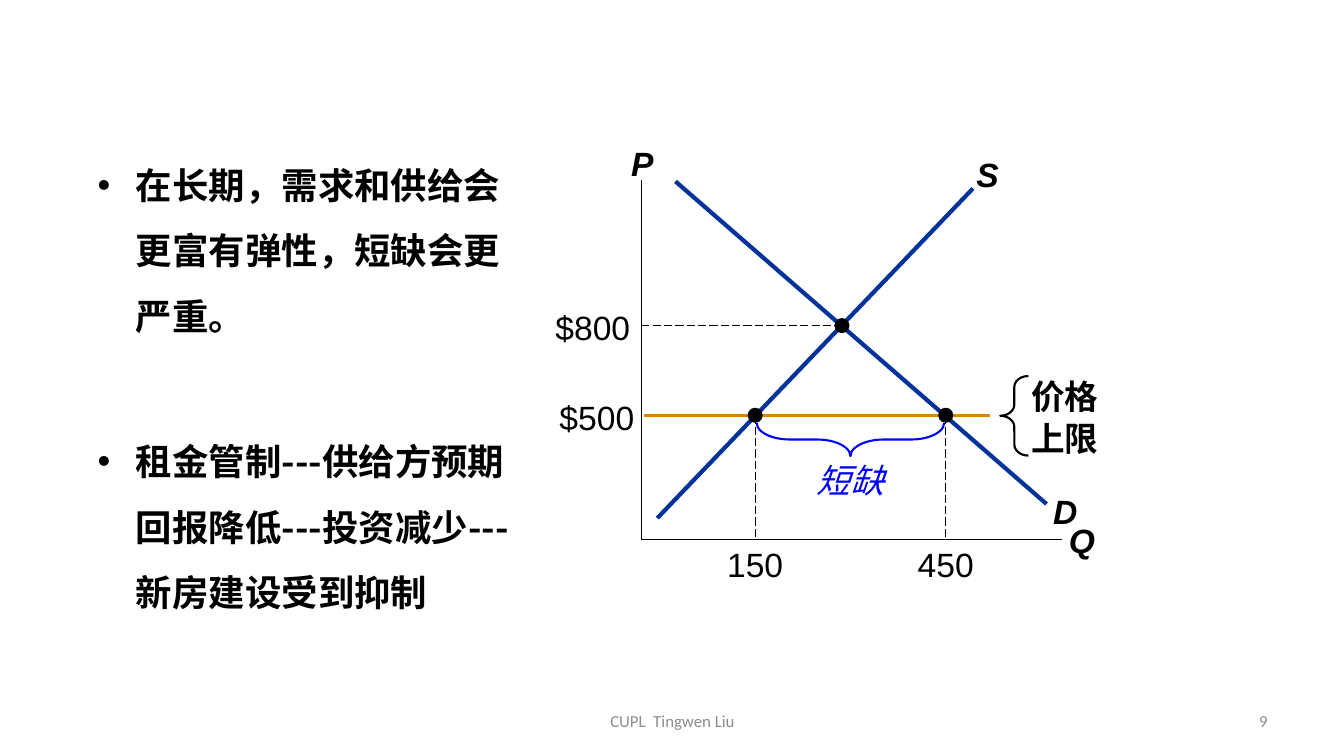
from lxml import etree
from pptx import Presentation
from pptx.dml.color import RGBColor
from pptx.enum.dml import MSO_LINE
from pptx.enum.shapes import MSO_CONNECTOR, MSO_SHAPE
from pptx.enum.text import MSO_ANCHOR, PP_ALIGN
from pptx.oxml.ns import qn
from pptx.util import Inches, Pt

STRAIGHT = MSO_CONNECTOR.STRAIGHT
DASH = MSO_LINE.LONG_DASH
OVAL, BRACE, RECTANGLE = MSO_SHAPE.OVAL, MSO_SHAPE.LEFT_BRACE, MSO_SHAPE.RECTANGLE
LEFT, CENTER, RIGHT = PP_ALIGN.LEFT, PP_ALIGN.CENTER, PP_ALIGN.RIGHT
TOP, MIDDLE = MSO_ANCHOR.TOP, MSO_ANCHOR.MIDDLE

BLACK = RGBColor(0, 0, 0)
WHITE = RGBColor(255, 255, 255)
GRAY = RGBColor(0x8C, 0x8C, 0x8C)
NAVY = RGBColor(0, 0x33, 0x99)
BLUE = RGBColor(0, 0, 255)
ORANGE = RGBColor(0xDE, 0x84, 0)

CHINESE_FONT = "Noto Sans CJK SC"
AXIS_X, AXIS_Y = 6.36, 5.35
QUANTITIES = {"150": 7.49, "450": 9.38}
MARKET_PRICE_Y, CEILING_Y = 3.23, 4.12
EQUILIBRIUM_X = 8.35
DOT_SIZE = 0.15


def add_line(page, start, end, color, width, dash=None):
    """Draw a straight line between two points in inches."""
    ends = [Inches(value) for value in (*start, *end)]
    line = page.shapes.add_connector(STRAIGHT, *ends)
    line.line.color.rgb = color
    line.line.width = Pt(width)
    if dash is not None:
        line.line.dash_style = dash
    etree.SubElement(line._element.spPr, qn("a:effectLst"))


def add_shape(page, kind, place, fill=None, outline=None):
    """Add a flat preset shape with an optional fill and outline."""
    shape = page.shapes.add_shape(kind, *[Inches(value) for value in place])
    shape.shadow.inherit = False
    if fill is None:
        shape.fill.background()
    else:
        shape.fill.solid()
        shape.fill.fore_color.rgb = fill
    if outline is None:
        shape.line.fill.background()
    else:
        shape.line.color.rgb = outline
        shape.line.width = Pt(1.5)
    return shape


def add_brace(page, place, color, curve, rotation=0):
    """Add a curly brace outline."""
    brace = add_shape(page, BRACE, place, outline=color)
    brace.adjustments[0] = curve
    brace.rotation = rotation


def add_dot(page, x, y):
    """Mark a point on the curves."""
    corner = (x - DOT_SIZE / 2, y - DOT_SIZE / 2)
    add_shape(page, OVAL, (*corner, DOT_SIZE, DOT_SIZE), fill=BLACK)


def add_text_box(page, place):
    """Add an empty text box."""
    return page.shapes.add_textbox(*[Inches(value) for value in place])


def prepare_frame(box, margins=True, anchor=TOP):
    """Set wrapping, insets and anchor of a text frame."""
    frame = box.text_frame
    frame.word_wrap = True
    frame.vertical_anchor = anchor
    if not margins:
        frame.margin_left = frame.margin_right = 0
        frame.margin_top = frame.margin_bottom = 0
    return frame


def add_span(para, text, size, color=BLACK, font="Arial", bold=False, italic=False):
    """Add a styled run with its East Asian font."""
    span = para.add_run()
    span.text = text
    span.font.size = Pt(size)
    span.font.name = font
    span.font.bold = bold
    span.font.italic = italic
    span.font.color.rgb = color
    east_asian = etree.SubElement(span._r.get_or_add_rPr(), qn("a:ea"))
    east_asian.set("typeface", CHINESE_FONT)


def write_label(box, text, align=CENTER, margins=True, **style):
    """Write a diagram label into a box."""
    para = prepare_frame(box, margins).paragraphs[0]
    para.alignment = align
    para.line_spacing = Pt(30)
    add_span(para, text, 24, **style)


def add_footer(page, place, text, align):
    """Add a small grey footer text."""
    frame = prepare_frame(add_text_box(page, place), anchor=MIDDLE)
    para = frame.paragraphs[0]
    para.alignment = align
    add_span(para, text, 12, GRAY, "Calibri")


def add_bullets(page, place, points):
    """Add bulleted paragraphs from pairs of text and space before."""
    frame = prepare_frame(add_text_box(page, place))
    for index, (text, space) in enumerate(points):
        para = frame.add_paragraph() if index else frame.paragraphs[0]
        para.line_spacing = Pt(46.8)
        para.space_before = Pt(space)
        properties = para._p.get_or_add_pPr()
        properties.set("marL", str(Inches(0.38)))
        properties.set("indent", str(-Inches(0.38)))
        etree.SubElement(properties, qn("a:buFont")).set("typeface", "Arial")
        etree.SubElement(properties, qn("a:buChar")).set("char", "•")
        add_span(para, text, 26, font=CHINESE_FONT, bold=True)


def add_curves(page):
    """Draw the axes, both curves and their letters."""
    add_line(page, (AXIS_X, 1.79), (AXIS_X, AXIS_Y), BLACK, 1)
    add_line(page, (AXIS_X, AXIS_Y), (10.53, AXIS_Y), BLACK, 1)
    add_line(page, (6.7, 1.8), (10.38, 5), NAVY, 3)
    add_line(page, (6.52, 5.14), (9.65, 1.87), NAVY, 3)
    letters = {
        "P": (6.14, 1.35, 0.46, 0.5),
        "Q": (10.48, 5.09, 0.5, 0.5),
        "D": (10.15, 4.8, 0.83, 0.5),
        "S": (9.22, 1.46, 1.15, 0.5),
    }
    for letter, place in letters.items():
        write_label(add_text_box(page, place), letter, bold=True, italic=True)


def add_price_ceiling(page):
    """Draw the ceiling line, guides, points and values."""
    add_line(page, (AXIS_X, MARKET_PRICE_Y), (EQUILIBRIUM_X, MARKET_PRICE_Y), BLACK, 0.75, DASH)
    add_line(page, (6.39, CEILING_Y), (9.82, CEILING_Y), ORANGE, 2.25)
    for price, right, y in (("$800", 6.25, MARKET_PRICE_Y), ("$500", 6.29, CEILING_Y)):
        box = add_text_box(page, (right - 1.05, y - 0.2, 1.05, 0.4))
        write_label(box, price, RIGHT, margins=False)
    for quantity, x in QUANTITIES.items():
        add_line(page, (x, CEILING_Y), (x, AXIS_Y), BLACK, 0.75, DASH)
        box = add_text_box(page, (x - 0.48, 5.38, 0.96, 0.4))
        write_label(box, quantity, margins=False)
        add_dot(page, x, CEILING_Y)
    add_dot(page, EQUILIBRIUM_X, MARKET_PRICE_Y)
    ceiling = add_text_box(page, (10.13, 3.66, 1.04, 0.91))
    write_label(ceiling, "价格上限", LEFT, bold=True)
    add_brace(page, (9.92, 3.73, 0.28, 0.79), BLACK, 0.39)


def add_shortage(page):
    """Mark the shortage between the two quantities."""
    add_brace(page, (8.27, 3.43, 0.33, 1.86), BLUE, 1, 270)
    shortage = add_shape(page, RECTANGLE, (7.76, 4.55, 1.35, 0.4), fill=WHITE)
    tint = shortage._element.spPr.find(qn("a:solidFill"))[0]
    etree.SubElement(tint, qn("a:alpha")).set("val", "70000")
    write_label(shortage, "短缺", margins=False, color=BLUE, italic=True)


def main():
    """Build and save the rent control slide."""
    deck = Presentation()
    deck.slide_width, deck.slide_height = Inches(13.33), Inches(7.5)
    page = deck.slides.add_slide(deck.slide_layouts[6])
    add_bullets(page, (0.87, 1.35, 4.4, 5.03), [
        ("在长期，需求和供给会更富有弹性，短缺会更严重。", 2.5),
        ("租金管制---供给方预期回报降低---投资减少---新房建设受到抑制", 57),
    ])
    add_curves(page)
    add_price_ceiling(page)
    add_shortage(page)
    add_footer(page, (4.56, 6.95, 4.22, 0.4), "CUPL  Tingwen Liu", CENTER)
    add_footer(page, (9.56, 6.95, 3.11, 0.4), "9", RIGHT)
    deck.save("out.pptx")


main()
